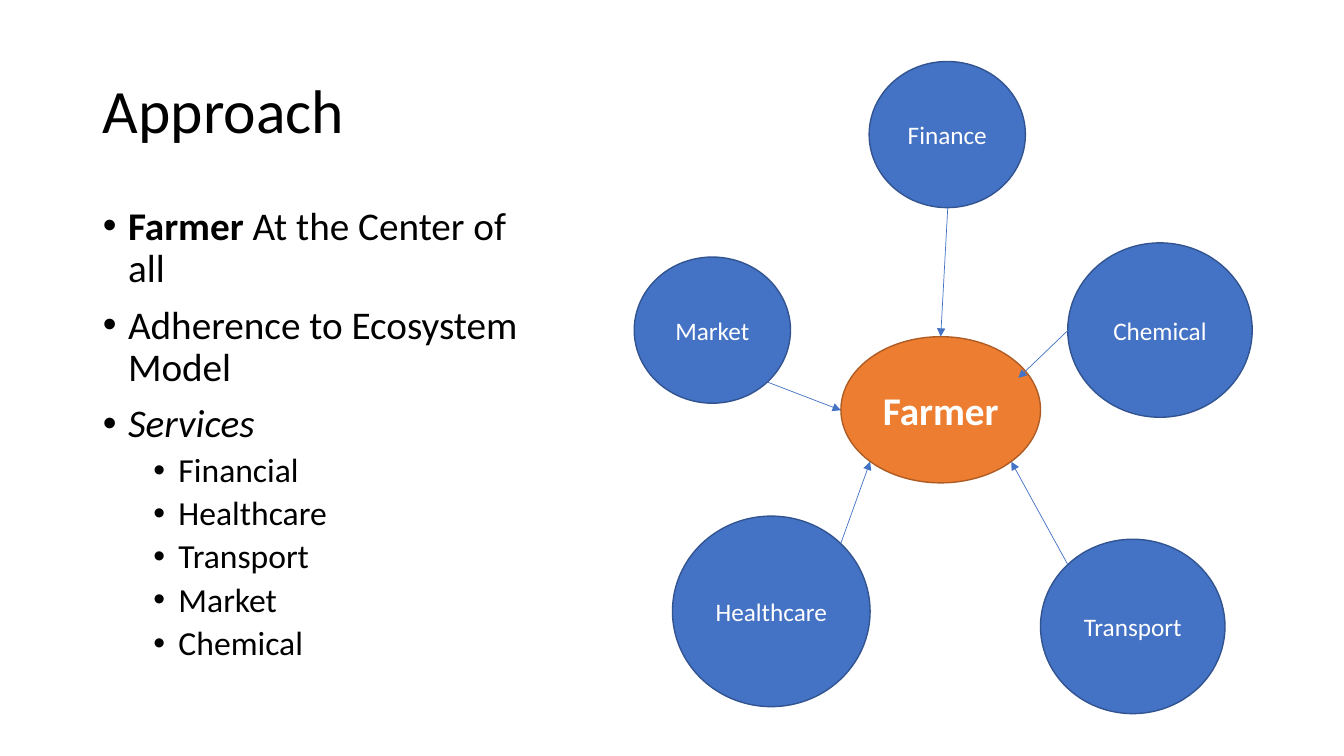
from pptx import Presentation
from pptx.dml.color import RGBColor
from pptx.enum.shapes import MSO_CONNECTOR, MSO_SHAPE
from pptx.enum.text import MSO_ANCHOR, MSO_AUTO_SIZE, PP_ALIGN
from pptx.oxml.ns import qn
from pptx.util import Inches, Pt
from lxml.etree import SubElement

COLORS = {
    "text": "000000", "label": "FFFFFF",
    "farmer": "ED7D31", "farmer_edge": "AF5C24",
    "service": "4472C4", "service_edge": "325491",
}


def write(paragraph, text, size, color="text", bold=False, italic=False,
          align=PP_ALIGN.LEFT):
    paragraph.alignment = align
    run = paragraph.add_run()
    run.text = text
    run.font.name = "Calibri"
    run.font.size = Pt(size)
    run.font.bold = bold
    run.font.italic = italic
    run.font.color.rgb = RGBColor.from_string(COLORS[color])


deck = Presentation()
deck.slide_width, deck.slide_height = Inches(13.33), Inches(7.5)
slide = deck.slides.add_slide(deck.slide_layouts[1])

# Title and list placeholders
heading, approach = slide.placeholders
for area, box, anchor in [
    (heading, (0.92, 0.4, 11.5, 1.45), MSO_ANCHOR.MIDDLE),
    (approach, (0.92, 2, 4.58, 4.76), MSO_ANCHOR.TOP),
]:
    area.left, area.top, area.width, area.height = map(Inches, box)
    area.text_frame.word_wrap = True
    area.text_frame.auto_size = MSO_AUTO_SIZE.NONE
    area.text_frame.vertical_anchor = anchor

title_line = heading.text_frame.paragraphs[0]
title_line.line_spacing = 0.9
write(title_line, "Approach", 44)

# Bulleted list: level, then (text, format) pieces
points = [
    (0, [("Farmer", {"bold": True}), (" At the Center of all", {})]),
    (0, [("Adherence to Ecosystem Model", {})]),
    (0, [("Services", {"italic": True})]),
]
for service in ["Financial", "Healthcare", "Transport", "Market", "Chemical"]:
    points.append((1, [(service, {})]))

for number, (level, pieces) in enumerate(points):
    frame = approach.text_frame
    point = frame.add_paragraph() if number else frame.paragraphs[0]
    point.level = level
    point.line_spacing = 0.9
    point.space_before = Pt(5 if level else 10)
    for text, style in pieces:
        write(point, text, 24 if level else 28, **style)
    properties = point._p.get_or_add_pPr()
    properties.set("marL", str(Inches(0.25 + 0.5 * level)))
    properties.set("indent", str(Inches(-0.25)))
    SubElement(properties, qn("a:buFont")).set("typeface", "Arial")
    SubElement(properties, qn("a:buChar")).set("char", "•")

# Farmer and the services around it
for name, box, role, size in [
    ("Farmer", (8.34, 3.34, 1.98, 1.45), "farmer", 28),
    ("Finance", (8.62, 0.61, 1.55, 1.45), "service", 18),
    ("Healthcare", (6.67, 5.12, 1.96, 1.89), "service", 18),
    ("Chemical", (10.59, 2.41, 1.83, 1.73), "service", 18),
    ("Transport", (10.32, 5.35, 1.83, 1.73), "service", 18),
    ("Market", (6.29, 2.55, 1.55, 1.45), "service", 18),
]:
    circle = slide.shapes.add_shape(MSO_SHAPE.OVAL, *map(Inches, box))
    circle.shadow.inherit = False
    circle.fill.solid()
    circle.fill.fore_color.rgb = RGBColor.from_string(COLORS[role])
    circle.line.color.rgb = RGBColor.from_string(COLORS[role + "_edge"])
    circle.line.width = Pt(1)
    circle.text_frame.word_wrap = True
    circle.text_frame.vertical_anchor = MSO_ANCHOR.MIDDLE
    write(circle.text_frame.paragraphs[0], name, size, color="label",
          bold=role == "farmer", align=PP_ALIGN.CENTER)

# Arrows from each service to the farmer
for ends in [
    (7.61, 3.79, 8.34, 4.07),   # Market
    (9.4, 2.06, 9.33, 3.34),    # Finance
    (10.59, 3.28, 10.1, 3.75),  # Chemical
    (10.59, 5.6, 10.03, 4.58),  # Transport
    (8.34, 5.39, 8.63, 4.58),   # Healthcare
]:
    arrow = slide.shapes.add_connector(MSO_CONNECTOR.STRAIGHT, *map(Inches, ends))
    arrow.line.color.rgb = RGBColor.from_string(COLORS["service"])
    arrow.line.width = Pt(0.5)
    SubElement(arrow.line._get_or_add_ln(), qn("a:tailEnd")).set("type", "triangle")
    SubElement(arrow._element.spPr, qn("a:effectLst"))

deck.save("out.pptx")
